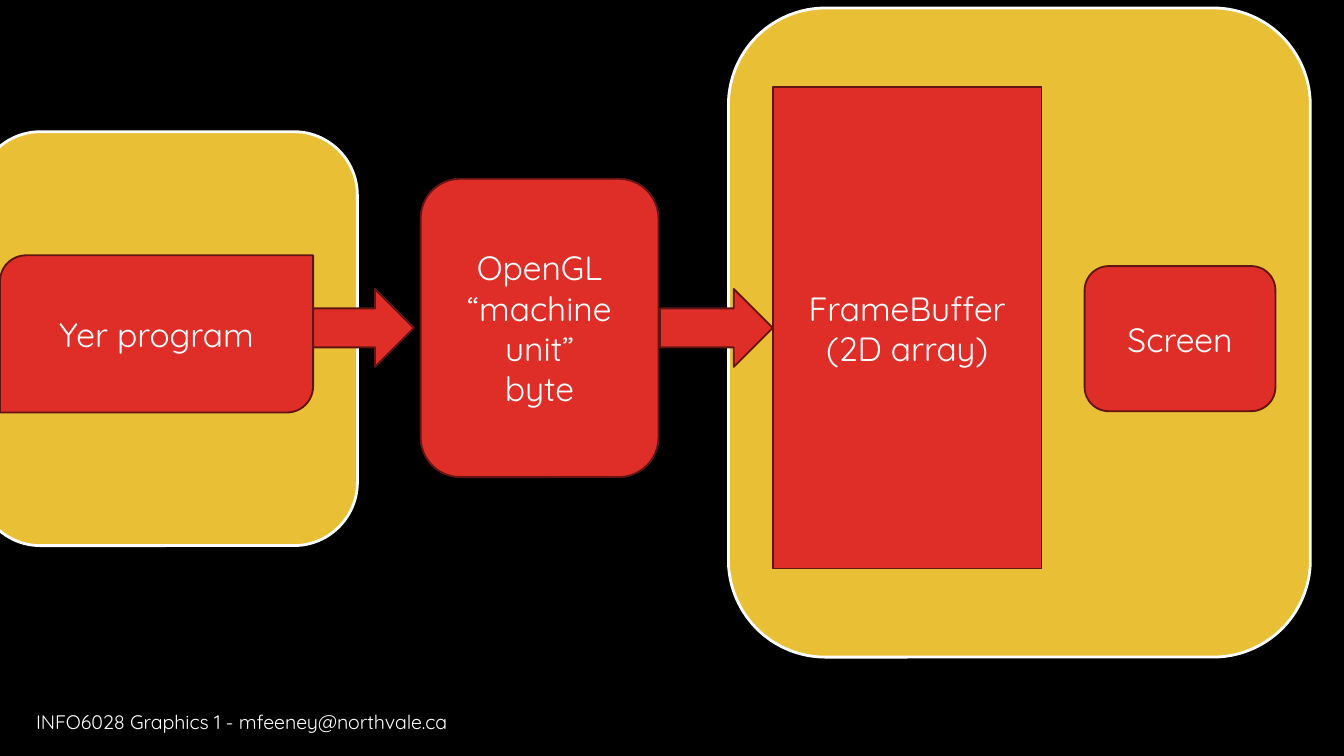
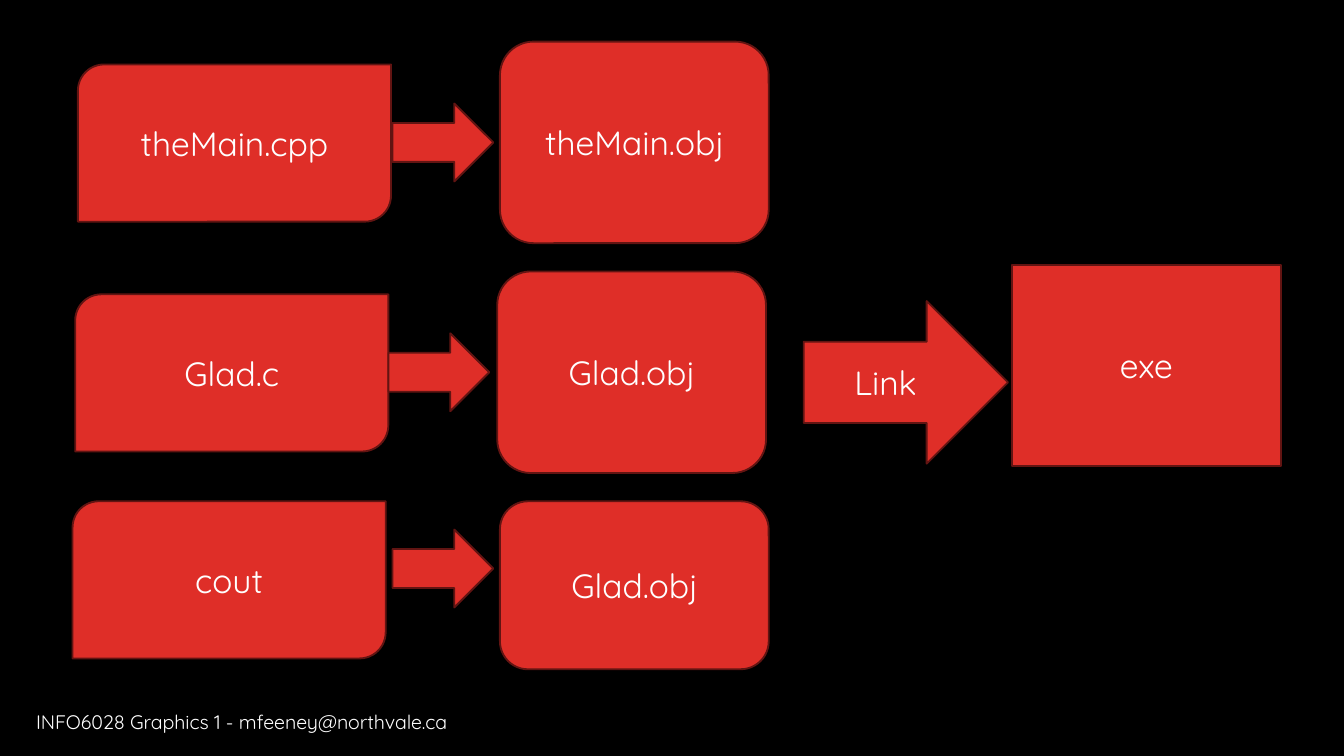
import pptx
import pptx.util
import pptx.dml.color
import pptx.enum.shapes
import pptx.enum.text

Inches, Pt = pptx.util.Inches, pptx.util.Pt
KIND = pptx.enum.shapes.MSO_SHAPE
ALIGN = pptx.enum.text.PP_ALIGN
ANCHOR = pptx.enum.text.MSO_ANCHOR

COLORS = {"back": "000000", "text": "FFFFFF", "gold": "E9BF35",
          "red": "DF2E28", "edge": "621412"}
FONT = "Quicksand"
FOOTER = "INFO6028 Graphics 1 - mfeeney@northvale.ca"

ROUND, RECT = KIND.ROUNDED_RECTANGLE, KIND.RECTANGLE
LEAF, ARROW = KIND.ROUND_2_DIAG_RECTANGLE, KIND.RIGHT_ARROW
LEAF_SIZE = (2.33, 1.17)
ARROW_SIZE = (0.75, 0.58)
FILE_W, FILE_H = 2, 1.5

# Slide 1: gold groups, then (kind, left, top, size, text)
GROUPS = [(5.42, 0.06, (4.33, 4.83)), (-0.17, 0.98, (2.83, 3.08))]
PIPELINE = [
    (ROUND, 3.13, 1.33, (1.77, 2.22), "OpenGL\n“machine unit”\nbyte"),
    (RECT, 5.75, 0.65, (2, 3.58), "FrameBuffer\n(2D array)"),
    (LEAF, 0, 1.9, LEAF_SIZE, "Yer program"),
    (ARROW, 2.33, 2.15, ARROW_SIZE, ""),
    (ARROW, 4.91, 2.15, (0.84, 0.58), ""),
    (ROUND, 8.07, 1.98, (1.42, 1.08), "Screen"),
]

# Slide 2: (source, left, top), (arrow left, top), (object, left, top, height)
BUILDS = [
    (("theMain.cpp", 0.58, 0.48), (2.92, 0.77), ("theMain.obj", 3.72, 0.31, FILE_H)),
    (("Glad.c", 0.56, 2.19), (2.89, 2.48), ("Glad.obj", 3.7, 2.02, FILE_H)),
    (("cout", 0.54, 3.73), (2.92, 3.94), ("Glad.obj", 3.72, 3.73, 1.25)),
]
LINKING = [
    (ARROW, 5.98, 2.24, (1.52, 1.21), "Link"),
    (RECT, 7.53, 1.97, (FILE_W, FILE_H), "exe"),
]


def rgb(name):
    return pptx.dml.color.RGBColor.from_string(COLORS[name])


def write(frame, text, size, align):
    frame.word_wrap = True
    frame.text = text
    for para in frame.paragraphs:
        para.alignment = align
        for run in para.runs:
            run.font.name = FONT
            run.font.size = Pt(size)
            run.font.color.rgb = rgb("text")


def draw(slide, kind, left, top, size, text="", fill="red", edge="edge", weight=1):
    shape = slide.shapes.add_shape(
        kind, Inches(left), Inches(top), Inches(size[0]), Inches(size[1]))
    shape.shadow.inherit = False
    shape.fill.solid()
    shape.fill.fore_color.rgb = rgb(fill)
    shape.line.color.rgb = rgb(edge)
    shape.line.width = Pt(weight)
    if text:
        shape.text_frame.vertical_anchor = ANCHOR.MIDDLE
        write(shape.text_frame, text, 18, ALIGN.CENTER)


def add_page(deck):
    slide = deck.slides.add_slide(deck.slide_layouts[6])
    slide.background.fill.solid()
    slide.background.fill.fore_color.rgb = rgb("back")
    box = slide.shapes.add_textbox(Inches(0.17), Inches(5.23), Inches(7), Inches(0.28))
    write(box.text_frame, FOOTER, 10.5, ALIGN.LEFT)
    return slide


def show_pipeline(deck):
    slide = add_page(deck)
    for left, top, size in GROUPS:
        draw(slide, ROUND, left, top, size, fill="gold", edge="text", weight=1.5)
    for part in PIPELINE:
        draw(slide, *part)


def show_build(deck):
    slide = add_page(deck)
    for (source, left, top), arrow, (target, obj_left, obj_top, height) in BUILDS:
        draw(slide, LEAF, left, top, LEAF_SIZE, source)
        draw(slide, ARROW, *arrow, ARROW_SIZE)
        draw(slide, ROUND, obj_left, obj_top, (FILE_W, height), target)
    for part in LINKING:
        draw(slide, *part)


def main():
    deck = pptx.Presentation()
    deck.slide_width = Inches(10)
    deck.slide_height = deck.slide_width * 9 // 16
    show_pipeline(deck)
    show_build(deck)
    deck.save("out.pptx")


if __name__ == "__main__":
    main()
